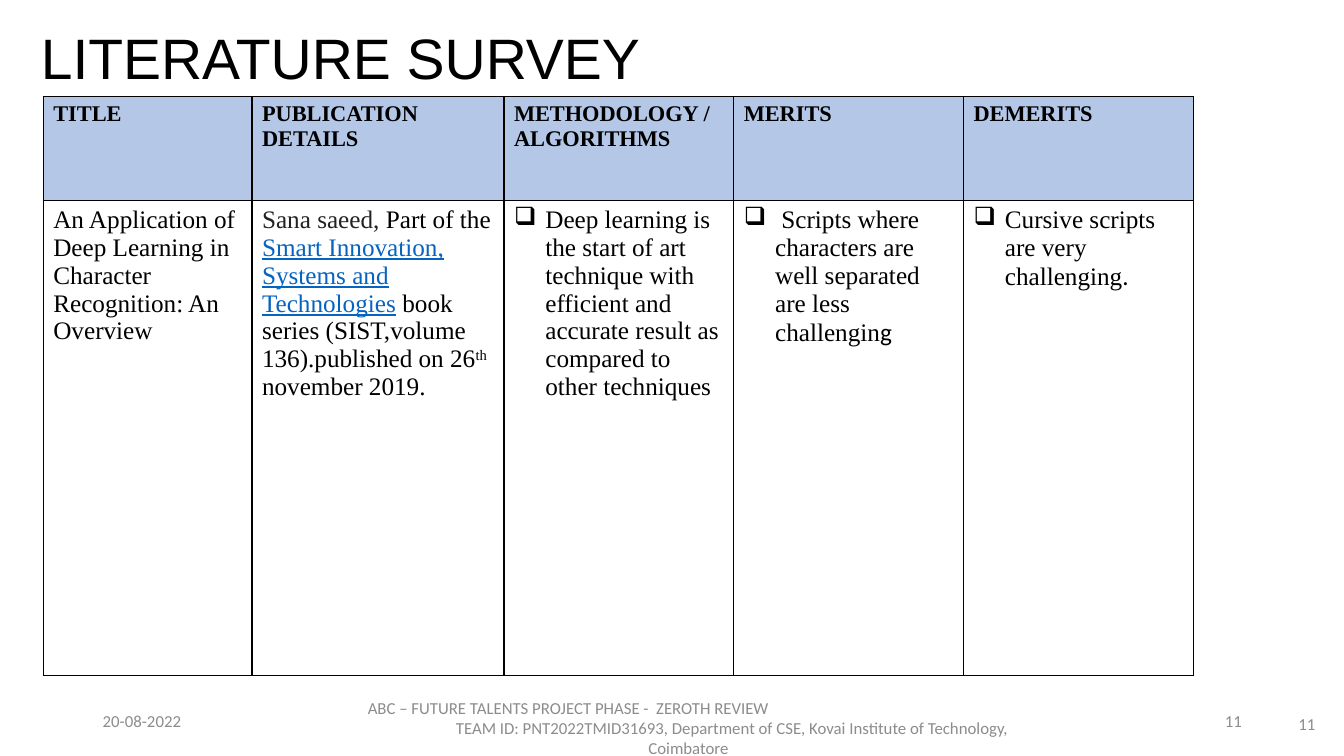
from lxml.etree import SubElement
from pptx import Presentation
from pptx.dml.color import RGBColor
from pptx.enum.text import MSO_ANCHOR, PP_ALIGN
from pptx.oxml.ns import qn
from pptx.util import Cm, Pt

SERIF = "Times New Roman"
SANS = "Calibri"
BLACK = "000000"
GREY = "8C8C8C"
LINK = "0563C1"
HEADER_FILL = "B4C7E7"
COLUMN_WIDTHS = [5.26, 6.35, 5.79, 5.79, 5.79]
ROW_HEIGHTS = [2.62, 11.96]
HEADINGS = ["TITLE", "PUBLICATION DETAILS", "METHODOLOGY /ALGORITHMS", "MERITS", "DEMERITS"]
ENTRIES = [
    [("An Application of Deep Learning in Character Recognition: An Overview", {})],
    [("Sana saeed,", {"color": "222222"}),
     (" Part of the ", {}),
     ("Smart Innovation, Systems and Technologies", {"color": LINK, "underline": True}),
     (" book series (SIST,volume 136).published on 26", {}),
     ("th ", {"raised": True}),
     ("november 2019.", {})],
    [("Deep learning is the start of art technique with efficient and accurate result "
      "as compared to other techniques", {})],
    [(" Scripts where characters are well separated are less challengin", {}),
     ("g", {"font": SANS})],
    [("Cursive scripts are very challenging", {}), (".", {"font": SANS})],
]
FIRST_BULLETED = 2
FOOTER_LINES = [
    ("ABC – FUTURE TALENTS PROJECT PHASE -  ZEROTH REVIEW", PP_ALIGN.LEFT, 0.38),
    ("TEAM ID: PNT2022TMID31693, Department of CSE, Kovai Institute of Technology,",
     PP_ALIGN.LEFT, 2.6),
    ("Coimbatore", PP_ALIGN.CENTER, 0),
]


def rgb(color):
    """Turn a hex string into a colour."""
    return RGBColor.from_string(color)


def format_span(span, font, size, color=BLACK, bold=False, underline=False, raised=False):
    """Style one run of text."""
    span.font.name = font
    span.font.size = Pt(size)
    span.font.color.rgb = rgb(color)
    span.font.bold = bold
    span.font.underline = underline
    if raised:
        span.font._element.set("baseline", "30000")


def indent(para, left, first=0):
    """Set the left margin and first-line indent of a paragraph."""
    properties = para._p.get_or_add_pPr()
    properties.set("marL", str(Cm(left)))
    properties.set("indent", str(Cm(first)))
    return properties


def add_frame(page, box):
    """Add a wrapping, vertically centred text box and return its frame."""
    frame = page.shapes.add_textbox(*map(Cm, box)).text_frame
    frame.word_wrap = True
    frame.vertical_anchor = MSO_ANCHOR.MIDDLE
    return frame


def add_line(page, box, text, size, font, color, align=PP_ALIGN.LEFT):
    """Add a box with one line of text and return its paragraph."""
    para = add_frame(page, box).paragraphs[0]
    para.text = text
    para.alignment = align
    format_span(para.runs[0], font, size, color)
    return para


def add_footer(page, box):
    """Add the staggered project footer."""
    frame = add_frame(page, box)
    frame.margin_left = frame.margin_right = 0
    frame.text = "\n".join(text for text, _, _ in FOOTER_LINES)
    for para, (_, align, left) in zip(frame.paragraphs, FOOTER_LINES):
        para.alignment = align
        indent(para, left)
        format_span(para.runs[0], SANS, 12, GREY)


def frame_cell(cell):
    """Draw black borders around a table cell."""
    properties = cell._tc.get_or_add_tcPr()
    for position, side in enumerate(("lnL", "lnR", "lnT", "lnB")):
        line = SubElement(properties, qn(f"a:{side}"), w=str(Pt(1)))
        fill = SubElement(line, qn("a:solidFill"))
        SubElement(fill, qn("a:srgbClr"), val=BLACK)
        properties.remove(line)
        properties.insert(position, line)


def fill_cell(cell, spans, size, bold=False, bulleted=False):
    """Write styled runs into a table cell."""
    para = cell.text_frame.paragraphs[0]
    for text, style in spans:
        span = para.add_run()
        span.text = text
        format_span(span, **{"font": SERIF, "size": size, "bold": bold, **style})
    if bulleted:
        properties = indent(para, 0.79, -0.79)
        SubElement(properties, qn("a:buChar"), char="❑")


def add_survey(page, box):
    """Add the literature table."""
    table = page.shapes.add_table(2, len(HEADINGS), *map(Cm, box)).table
    for column, width in zip(table.columns, COLUMN_WIDTHS):
        column.width = Cm(width)
    for row, height in zip(table.rows, ROW_HEIGHTS):
        row.height = Cm(height)
    for index, (heading, entry) in enumerate(zip(HEADINGS, ENTRIES)):
        head, body = table.cell(0, index), table.cell(1, index)
        head.fill.solid()
        head.fill.fore_color.rgb = rgb(HEADER_FILL)
        body.fill.background()
        fill_cell(head, [(heading, {})], 16, bold=True)
        fill_cell(body, entry, 18, bulleted=index >= FIRST_BULLETED)
        frame_cell(head)
        frame_cell(body)


def build_page(page):
    """Place every part of the slide."""
    add_survey(page, (1.09, 2.44, sum(COLUMN_WIDTHS), sum(ROW_HEIGHTS)))
    title = add_line(page, (0.78, 0.74, 29.24, 1.7), "LITERATURE SURVEY", 40.7, "Arial", BLACK)
    title.line_spacing = 0.8
    add_footer(page, (8.89, 17.83, 16.92, 1.02))
    add_line(page, (2.34, 17.65, 7.62, 1.02), "20-08-2022", 12, SANS, GREY)
    for box in ((23.93, 17.65, 7.62, 1.02), (31.85, 17.73, 1.55, 1.02)):
        add_line(page, box, "11", 12, SANS, GREY, PP_ALIGN.RIGHT)


def main():
    """Build and save the deck."""
    deck = Presentation()
    deck.slide_width, deck.slide_height = Cm(33.87), Cm(19.05)
    build_page(deck.slides.add_slide(deck.slide_layouts[6]))
    deck.save("out.pptx")


if __name__ == "__main__":
    main()
